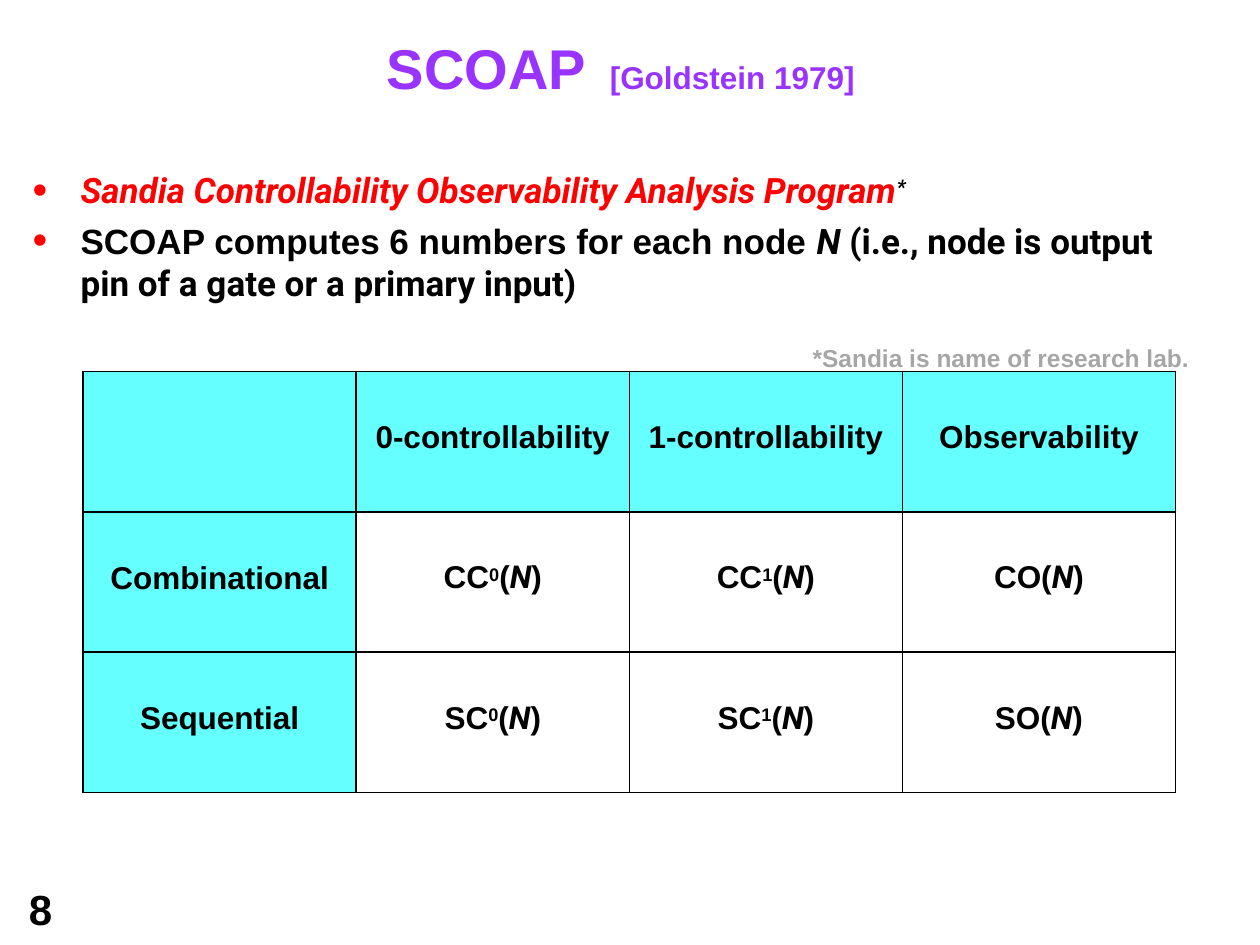
import pptx
import pptx.dml.color
import pptx.enum.text
import pptx.oxml
import pptx.oxml.ns
import pptx.util

ALIGN = pptx.enum.text.PP_ALIGN
ANCHOR = pptx.enum.text.MSO_ANCHOR
BLACK, RED, PURPLE, GRAY, CYAN = "000000", "FF0000", "9933FF", "A6A6A6", "66FFFF"
NODE = ("N", {"name": "Roboto", "italic": True})


def color(value):
    return pptx.dml.color.RGBColor.from_string(value)


def element(markup):
    tag, rest = markup[1:].split(" ", 1)
    return pptx.oxml.parse_xml(f"<{tag} {pptx.oxml.ns.nsdecls('a')} {rest}")


class SlideBuilder:
    columns, rows = 100, 75
    font_name = "Arial"

    def __init__(self, presentation):
        self.slide = presentation.slides.add_slide(presentation.slide_layouts[6])
        self.column = presentation.slide_width / self.columns
        self.row = presentation.slide_height / self.rows

    def place(self, left, top, width, height):
        return (round(left * self.column), round(top * self.row),
                round(width * self.column), round(height * self.row))

    def add_text(self, paragraph, runs, size, ink=BLACK, align=ALIGN.LEFT, before=0):
        paragraph.alignment = align
        paragraph.space_before = pptx.util.Pt(before)
        font = paragraph.font
        font.name, font.size, font.bold = self.font_name, pptx.util.Pt(size), True
        font.color.rgb = color(ink)
        for text, changes in runs:
            run = paragraph.add_run()
            run.text = text
            if "name" in changes:
                run.font.name = changes["name"]
            if "italic" in changes:
                run.font.italic = changes["italic"]
            if "ink" in changes:
                run.font.color.rgb = color(changes["ink"])
            if "raised" in changes:
                run._r.get_or_add_rPr().set("baseline", str(changes["raised"] * 1000))

    def text_box(self, left, top, width, height):
        shape = self.slide.shapes.add_textbox(*self.place(left, top, width, height))
        frame = shape.text_frame
        frame.word_wrap = True
        frame.margin_left = frame.margin_right = frame.margin_bottom = 0
        frame.margin_top = pptx.util.Inches(0.01)
        return frame

    def label(self, box, text, size, ink):
        frame = self.text_box(*box)
        self.add_text(frame.paragraphs[0], [(text, {})], size, ink)

    def bullet(self, paragraph, runs, size, before=0):
        properties = paragraph._p.get_or_add_pPr()
        properties.set("marL", str(pptx.util.Inches(0.43)))
        properties.set("indent", str(-pptx.util.Inches(0.38)))
        for markup in (f'<a:buClr ><a:srgbClr val="{RED}"/></a:buClr>',
                       '<a:buSzPct val="120000"/>',
                       '<a:buFont typeface="Arial"/>',
                       '<a:buChar char="•"/>'):
            properties.append(element(markup))
        self.add_text(paragraph, runs, size, before=before)

    def border(self, cell, side, points):
        cell._tc.get_or_add_tcPr().append(element(
            f'<a:ln{side} w="{int(pptx.util.Pt(points))}"><a:solidFill>'
            f'<a:srgbClr val="{BLACK}"/></a:solidFill></a:ln{side}>'))

    def table(self, box, content, size):
        shape = self.slide.shapes.add_table(len(content), len(content[0]), *self.place(*box))
        table = shape.table
        table.first_row = table.horz_banding = False
        for row, line in enumerate(content):
            for column, runs in enumerate(line):
                cell = table.cell(row, column)
                cell.margin_left = cell.margin_right = cell.margin_top = 0
                cell.margin_bottom = pptx.util.Inches(0.06)
                cell.vertical_anchor = ANCHOR.MIDDLE
                thick = {"L": column == 1, "R": column == 0, "T": row == 1, "B": row == 0}
                for side, heavy in thick.items():
                    self.border(cell, side, 1.5 if heavy else 1)
                if row == 0 or column == 0:
                    cell.fill.solid()
                    cell.fill.fore_color.rgb = color(CYAN)
                else:
                    cell.fill.background()
                self.add_text(cell.text_frame.paragraphs[0], runs, size, align=ALIGN.CENTER)


def measure(name, digit=""):
    if not digit:
        return [(f"{name}(", {}), NODE, (")", {})]
    return [(name, {}), (digit, {"raised": 25}), ("(", {}), NODE, (")", {})]


def main():
    presentation = pptx.Presentation()
    presentation.slide_width = pptx.util.Inches(10)
    presentation.slide_height = pptx.util.Inches(7.5)
    builder = SlideBuilder(presentation)

    builder.label((2.3, 70, 4.5, 4), "8", 24, BLACK)
    builder.label((30.7, 2.6, 16.5, 5.6), "SCOAP", 32, PURPLE)
    builder.label((48.4, 4.5, 20, 3.3), "[Goldstein 1979]", 18, PURPLE)

    header = ["0-controllability", "1-controllability", "Observability"]
    content = [[[]] + [[(text, {})] for text in header]]
    for kind, initial in (("Combinational", "C"), ("Sequential", "S")):
        content.append([[(kind, {})], measure(f"{initial}C", "0"),
                        measure(f"{initial}C", "1"), measure(f"{initial}O")])
    builder.table((6.6, 29.5, 86.7, 33.4), content, 18)

    body = builder.text_box(2.1, 13.3, 92.3, 16.5)
    builder.bullet(body.paragraphs[0], [
        ("Sandia Controllability Observability Analysis Program",
         {"name": "Roboto", "italic": True, "ink": RED}),
        ("*", {"name": "Roboto", "italic": True, "raised": 26})], 20)
    builder.bullet(body.add_paragraph(), [
        ("SCOAP computes 6 numbers for each node ", {}),
        ("N ", {"name": "Roboto", "italic": True}),
        ("(i.e., node is output pin of a gate or a primary input)", {"name": "Roboto"})],
        20, before=4.8)
    builder.add_text(body.add_paragraph(), [("*Sandia is name of research lab.", {})],
                     14, GRAY, ALIGN.RIGHT, before=22.6)

    presentation.save("out.pptx")


if __name__ == "__main__":
    main()
